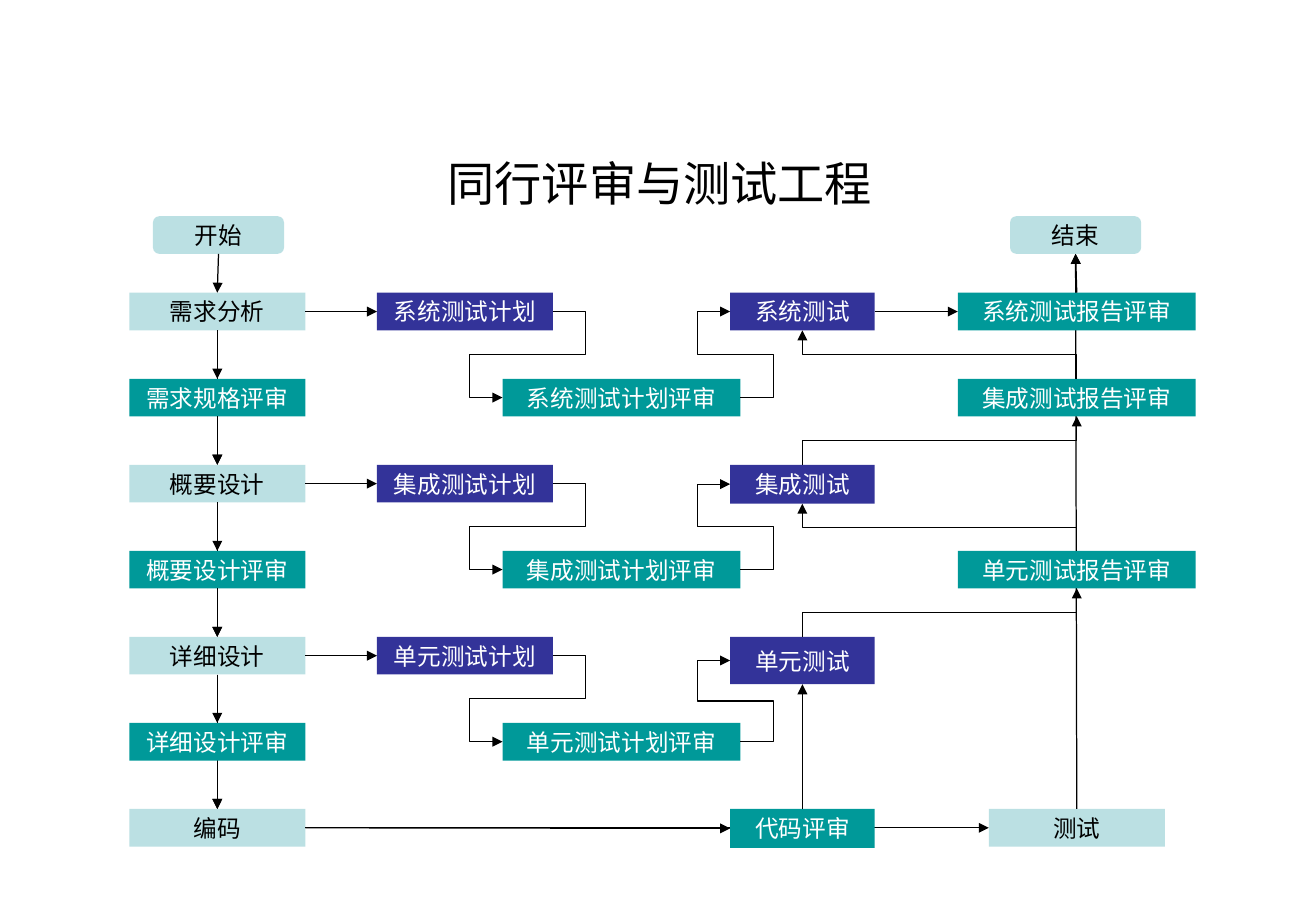
import dataclasses

import lxml.etree
import pptx
import pptx.dml.color
import pptx.enum.shapes
import pptx.enum.text
import pptx.oxml.ns
import pptx.util


@dataclasses.dataclass(frozen=True)
class Theme:
    font: str = "Arial"
    title_size: int = 28
    box_size: int = 14
    line_width: float = 0.75
    black: str = "000000"
    white: str = "FFFFFF"
    step: str = "BBE0E3"
    review: str = "009999"
    test: str = "333399"


theme = Theme()
color = pptx.dml.color.RGBColor.from_string
inches = pptx.util.Inches
qn = pptx.oxml.ns.qn
shape_kinds = pptx.enum.shapes.MSO_SHAPE
line_kinds = pptx.enum.shapes.MSO_CONNECTOR

# Grid in inches: seven rows, five column centres
ROW_TOP, ROW_PITCH, BOX_HEIGHT, TERMINAL_TOP = 2.41, 4.25 / 6, 0.31, 1.78
DEVELOP, PLAN, PLAN_REVIEW, TEST, REPORT = 1.79, 3.83, 5.12, 6.61, 8.87
STEP_WIDTH, REVIEW_WIDTH, TEST_WIDTH, TERMINAL_WIDTH = 1.45, 1.96, 1.19, 1.08
STUB = 0.27  # how far an elbow runs out beside a box
TOP, LEFT, BOTTOM, RIGHT = range(4)

presentation = pptx.Presentation()
presentation.slide_width, presentation.slide_height = inches(10.84), inches(7.5)
slide = presentation.slides.add_slide(presentation.slide_layouts[5])


def add_box(text, center, row, width, fill, height=BOX_HEIGHT, terminal=False):
    top = TERMINAL_TOP if terminal else ROW_TOP + row * ROW_PITCH
    kind = shape_kinds.ROUNDED_RECTANGLE if terminal else shape_kinds.RECTANGLE
    shape = slide.shapes.add_shape(kind, inches(center - width / 2), inches(top),
                                   inches(width), inches(height))
    shape.shadow.inherit = False
    shape.fill.solid()
    shape.fill.fore_color.rgb = color(fill)
    shape.line.fill.background()
    frame = shape.text_frame
    frame.word_wrap = False
    frame.vertical_anchor = pptx.enum.text.MSO_ANCHOR.MIDDLE
    paragraph = frame.paragraphs[0]
    paragraph.text = text
    paragraph.alignment = pptx.enum.text.PP_ALIGN.CENTER
    paragraph.font.name = theme.font
    paragraph.font.size = pptx.util.Pt(theme.box_size)
    paragraph.font.color.rgb = color(theme.black if fill == theme.step else theme.white)
    return shape


def add_arrow(source, source_side, target, target_side, elbow=False):
    points = []
    for shape, side in ((source, source_side), (target, target_side)):
        across = {LEFT: 0, RIGHT: 2}.get(side, 1)
        down = {TOP: 0, BOTTOM: 2}.get(side, 1)
        points.append((shape.left + shape.width * across // 2,
                       shape.top + shape.height * down // 2))
    (x1, y1), (x2, y2) = points
    upright = elbow and source_side in (TOP, BOTTOM)
    if upright:  # the unturned ends of an elbow that is turned by 90 degrees
        middle_x, middle_y = (x1 + x2) // 2, (y1 + y2) // 2
        (x1, y1), (x2, y2) = [(middle_x + y - middle_y, middle_y - x + middle_x)
                              for x, y in points]
    kind = line_kinds.ELBOW if elbow else line_kinds.STRAIGHT
    connector = slide.shapes.add_connector(kind, x1, y1, x2, y2)
    properties = connector._element.spPr
    if upright:
        properties.find(qn("a:xfrm")).set("rot", "5400000")
    elif elbow:  # five-part elbow that loops around both boxes
        reach = round(100000 * inches(STUB) / abs(x2 - x1))
        geometry = properties.find(qn("a:prstGeom"))
        geometry.set("prst", "bentConnector5")
        guides = geometry.find(qn("a:avLst"))
        for number, value in enumerate((-reach, 50000, 100000 + reach), start=1):
            lxml.etree.SubElement(guides, qn("a:gd"), name=f"adj{number}", fmla=f"val {value}")
    else:
        connector.begin_connect(source, source_side)
        connector.end_connect(target, target_side)
    connector.line.color.rgb = color(theme.black)
    connector.line.width = pptx.util.Pt(theme.line_width)
    lxml.etree.SubElement(properties.find(qn("a:ln")), qn("a:tailEnd"), type="triangle")
    lxml.etree.SubElement(properties, qn("a:effectLst"))


# Title
title = slide.shapes.title
title.left, title.top, title.width, title.height = map(inches, (0.56, 1.23, 9.75, 0.55))
title.text_frame.auto_size = pptx.enum.text.MSO_AUTO_SIZE.NONE
title.text_frame.vertical_anchor = pptx.enum.text.MSO_ANCHOR.MIDDLE
paragraph = title.text_frame.paragraphs[0]
paragraph.text = "同行评审与测试工程"
paragraph.alignment = pptx.enum.text.PP_ALIGN.CENTER
paragraph.font.name = theme.font
paragraph.font.size = pptx.util.Pt(theme.title_size)
paragraph.font.color.rgb = color(theme.black)

# Basic process: development steps, testing, start and end
steps = [add_box(text, DEVELOP, 2 * index, STEP_WIDTH, theme.step)
         for index, text in enumerate(("需求分析", "概要设计", "详细设计", "编码"))]
start = add_box("开始", 1.8, 0, TERMINAL_WIDTH, theme.step, terminal=True)
end = add_box("结束", 8.86, 0, TERMINAL_WIDTH, theme.step, terminal=True)
testing = add_box("测试", REPORT, 6, STEP_WIDTH, theme.step)
add_arrow(start, BOTTOM, steps[0], TOP)
for step, next_step in zip(steps, steps[1:]):
    add_arrow(step, BOTTOM, next_step, TOP)
add_arrow(steps[-1], RIGHT, testing, LEFT)
add_arrow(testing, TOP, end, BOTTOM)

# Reviews between the development steps
for index, text in enumerate(("需求规格评审", "概要设计评审", "详细设计评审")):
    review = add_box(text, DEVELOP, 2 * index + 1, STEP_WIDTH, theme.review)
    add_arrow(steps[index], BOTTOM, review, TOP)
    add_arrow(review, BOTTOM, steps[index + 1], TOP)

# Plan, plan review, test and report review for each test level
tests, reports = [], []
levels = (("系统", 0, 0.31), ("集成", 1, 0.32), ("单元", 3, 0.39))
for index, (level, report_row, test_height) in enumerate(levels):
    row = 2 * index
    plan = add_box(f"{level}测试计划", PLAN, row, STEP_WIDTH, theme.test)
    plan_review = add_box(f"{level}测试计划评审", PLAN_REVIEW, row + 1,
                          REVIEW_WIDTH, theme.review)
    test = add_box(f"{level}测试", TEST, row, TEST_WIDTH, theme.test, test_height)
    report = add_box(f"{level}测试报告评审", REPORT, report_row, REVIEW_WIDTH, theme.review)
    add_arrow(steps[index], RIGHT, plan, LEFT)
    add_arrow(plan, RIGHT, plan_review, LEFT, elbow=True)
    add_arrow(plan_review, RIGHT, test, LEFT, elbow=True)
    tests.append(test)
    reports.append(report)

# Code review leads up through the test levels to the end
code_review = add_box("代码评审", TEST, 6, TEST_WIDTH, theme.review, 0.32)
add_arrow(steps[-1], RIGHT, code_review, LEFT)
add_arrow(code_review, TOP, tests[2], BOTTOM)
for index in (2, 1):
    add_arrow(tests[index], TOP, reports[index], BOTTOM, elbow=True)
    add_arrow(reports[index], TOP, tests[index - 1], BOTTOM, elbow=True)
add_arrow(tests[0], RIGHT, reports[0], LEFT)
add_arrow(reports[0], TOP, end, BOTTOM)

presentation.save("out.pptx")
